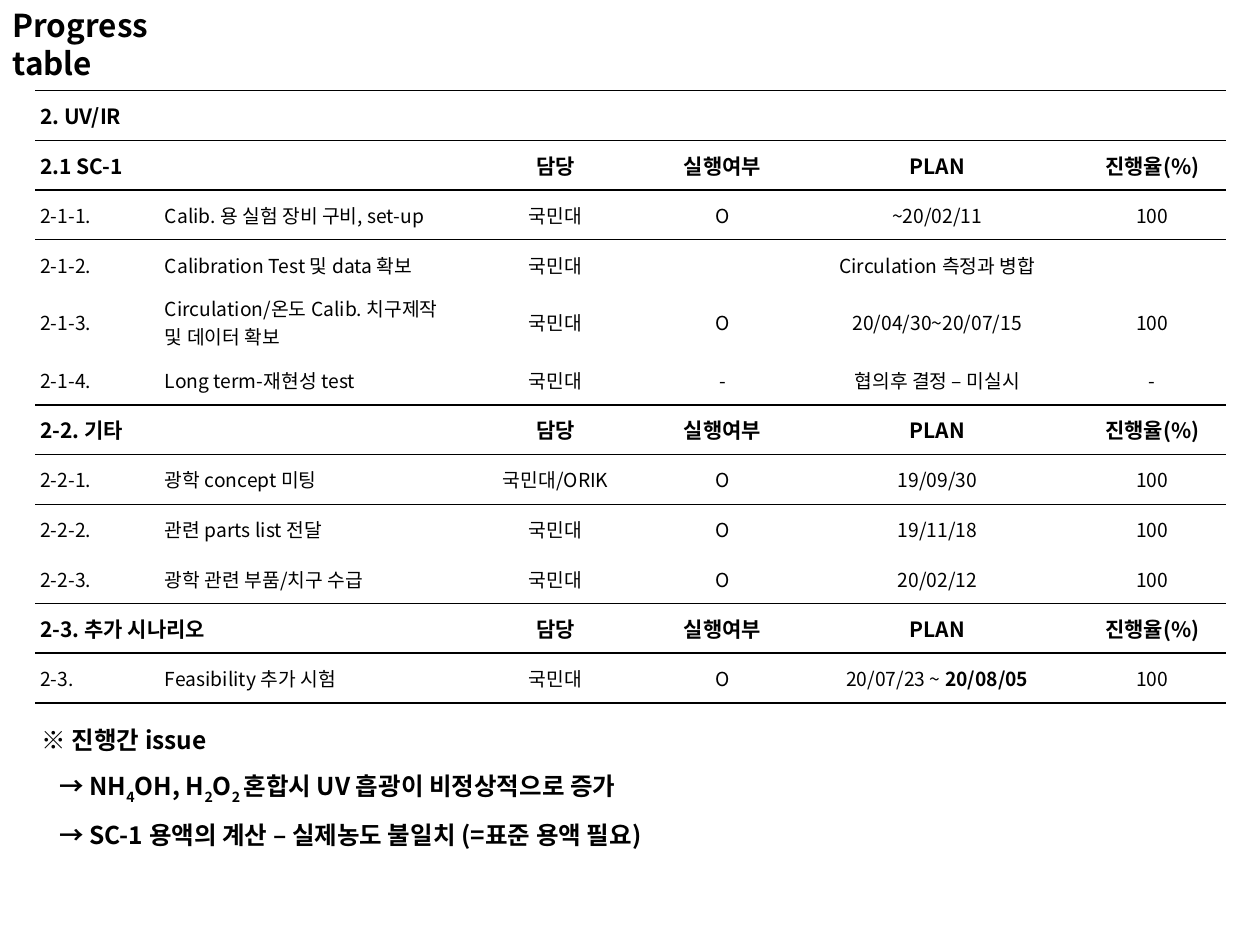
import pptx
import pptx.util
import pptx.dml.color
import pptx.enum.text
import pptx.oxml
from lxml import etree

NS = "http://schemas.openxmlformats.org/drawingml/2006/main"
ALIGN = pptx.enum.text.PP_ALIGN
ANCHOR = pptx.enum.text.MSO_ANCHOR
HEADS = ["담당", "실행여부", "PLAN", "진행율(%)"]
UNI = "국민대"
COLS = [9.9, 24, 14.8, 11.7, 22.4, 11.7]
ROWS = [
    ["2. UV/IR"] + [None] * 5,
    ["2.1 SC-1", None] + HEADS,
    ["2-1-1.", "Calib. 용 실험 장비 구비, set-up", UNI, "O", "~20/02/11", "100"],
    ["2-1-2.", "Calibration Test 및 data 확보", UNI, "Circulation 측정과 병합", None, None],
    ["2-1-3.", "Circulation/온도 Calib. 치구제작 및 데이터 확보", UNI, "O", "20/04/30~20/07/15", "100"],
    ["2-1-4.", "Long term-재현성 test", UNI, "-", "협의후 결정 – 미실시", "-"],
    ["2-2. 기타", None] + HEADS,
    ["2-2-1.", "광학 concept 미팅", UNI + "/ORIK", "O", "19/09/30", "100"],
    ["2-2-2.", "관련 parts list 전달", UNI, "O", "19/11/18", "100"],
    ["2-2-3.", "광학 관련 부품/치구 수급", UNI, "O", "20/02/12", "100"],
    ["2-3. 추가 시나리오", None] + HEADS,
    ["2-3.", "Feasibility 추가 시험", UNI, "O", "20/07/23 ~ *20/08/05", "100"],
]
OPEN = {3, 4, 8}
ISSUES = [
    ("※ 진행간 issue", 0),
    ("→ NH*4*OH, H*2*O*2 *혼합시 UV 흡광이 비정상적으로 증가", 1.4),
    ("→ SC-1 용액의 계산 – 실제농도 불일치 (=표준 용액 필요)", 1.4),
]


def tint(code):
    return pptx.dml.color.RGBColor.from_string(code)


class Deck:
    """Holds the style, the grid of 100 by 75 units and the current slide."""

    face = "Noto Sans CJK KR"
    ink = "000000"

    def __init__(self):
        self.show = pptx.Presentation()
        self.show.slide_width = pptx.util.Inches(10)
        self.show.slide_height = pptx.util.Inches(7.5)
        self.unit = self.show.slide_width / 100
        self.slide = self.show.slides.add_slide(self.show.slide_layouts[1])

    def span(self, size):
        return round(size * self.unit)

    def place(self, shape, *box):
        shape.left, shape.top, shape.width, shape.height = map(self.span, box)
        frame = shape.text_frame
        frame.word_wrap = True
        frame.auto_size = pptx.enum.text.MSO_AUTO_SIZE.NONE
        frame.vertical_anchor = ANCHOR.TOP
        return frame

    def label(self, par, text, size, bold, align=ALIGN.LEFT):
        par.alignment = align
        font = par.font
        font.size, font.bold = pptx.util.Pt(size), bold
        font.color.rgb = tint(self.ink)
        font.name = self.face
        etree.SubElement(font._element, f"{{{NS}}}ea", typeface=self.face)
        runs = []
        for part in text.split("*"):
            run = par.add_run()
            run.text = part
            runs.append(run)
        return runs[1::2]

    def title(self, text, *box):
        frame = self.place(self.slide.shapes.title, *box)
        self.label(frame.paragraphs[0], text, 18, True)

    def body(self, items, *box):
        frame = self.place(self.slide.placeholders[1], *box)
        for i, (text, inset) in enumerate(items):
            par = frame.add_paragraph() if i else frame.paragraphs[0]
            prop = par._p.get_or_add_pPr()
            prop.set("marL", str(self.span(inset)))
            prop.set("indent", "0")
            etree.SubElement(prop, f"{{{NS}}}buNone")
            par.line_spacing = 1.5
            par.space_before = pptx.util.Pt(0)
            for run in self.label(par, text, 14, True):
                run.font._element.set("baseline", "-25000")

    def edge(self, cell, side, drawn):
        fill = f'<a:solidFill><a:srgbClr val="{self.ink}"/></a:solidFill>' if drawn else "<a:noFill/>"
        line = f'<a:ln{side} xmlns:a="{NS}" w="12700">{fill}</a:ln{side}>'
        cell._tc.get_or_add_tcPr().append(pptx.oxml.parse_xml(line))

    def table(self, rows, cols, *box):
        grid = self.slide.shapes.add_table(len(rows), len(cols), *map(self.span, box)).table
        grid.first_row = grid.horz_banding = False
        for col, width in zip(grid.columns, cols):
            col.width = self.span(width)
        for r, row in enumerate(rows):
            head = row[1] is None
            lines = {"L": False, "R": False, "T": r - 1 not in OPEN, "B": r not in OPEN}
            for c, text in enumerate(row):
                cell = grid.cell(r, c)
                for side, drawn in lines.items():
                    self.edge(cell, side, drawn)
                cell.fill.background()
                if text is None:
                    continue
                last = c
                while last + 1 < len(row) and row[last + 1] is None:
                    last += 1
                if last > c:
                    cell.merge(grid.cell(r, last))
                cell.vertical_anchor = ANCHOR.MIDDLE
                cell.margin_left = cell.margin_right = self.span(0.4)
                cell.margin_top = cell.margin_bottom = self.span(0.4)
                align = ALIGN.CENTER if c > 1 else ALIGN.LEFT
                par = cell.text_frame.paragraphs[0]
                for run in self.label(par, text, 12 if head else 11, head, align):
                    run.font.bold = True


def main():
    deck = Deck()
    deck.table(ROWS, COLS, 2.8, 7.2, 94.4, 47.3)
    deck.title("Progress table", 0, 0, 19, 7)
    deck.body(ISSUES, 2.3, 55.9, 95, 11.6)
    deck.show.save("out.pptx")


if __name__ == "__main__":
    main()
